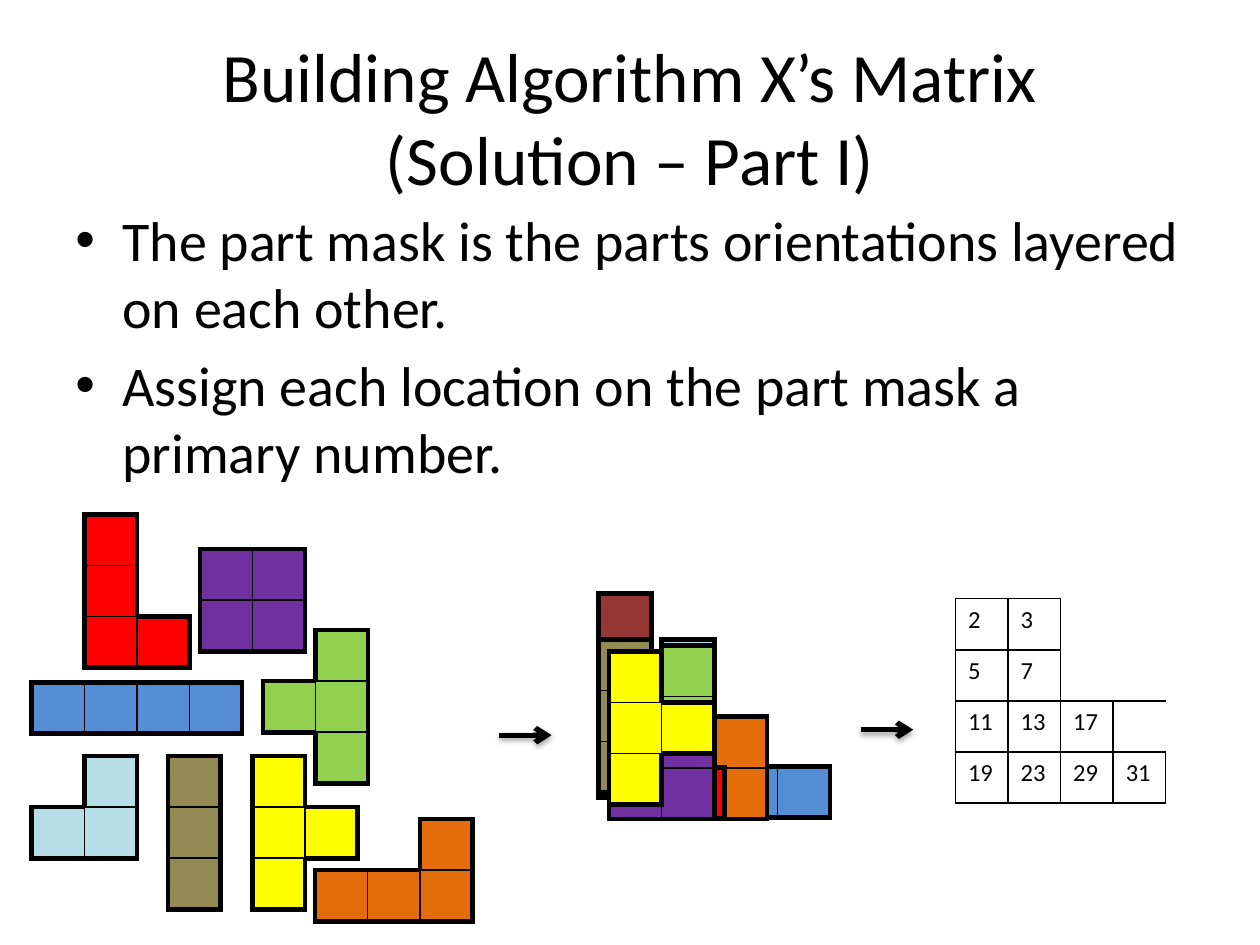
import dataclasses

import pptx
import pptx.dml.color
import pptx.enum.shapes
import pptx.enum.text
import pptx.oxml
import pptx.oxml.ns
import pptx.util
from lxml import etree
from pptx.util import Cm


@dataclasses.dataclass(frozen=True)
class Theme:
    font: str = "Calibri"
    ink: str = "000000"
    paper: str = "FFFFFF"
    title_size: float = 39.6
    body_size: float = 32
    number_size: float = 14
    thick: float = 3
    thin: float = 1


THEME = Theme()
CELL_WIDTH, CELL_HEIGHT = 1.06, 1.03

# "#" is a filled square, "o" a white square, "." an open square
PIECES = {
    "red": ("FF0000", ["#.", "#.", "##"]),
    "blue": ("558ED5", ["####"]),
    "green": ("92D050", [".#", "##", ".#"]),
    "olive": ("948A54", ["#", "#", "#"]),
    "cyan": ("B7DEE8", ["o#", "##"]),
    "purple": ("7030A0", ["##", "##"]),
    "orange": ("E46C0A", ["oo#", "###"]),
    "yellow": ("FFFF00", ["#.", "##", "#."]),
    "brown": ("953735", ["#", "#", "#", "#"]),
}
SPREAD = [
    ("red", 1.06, 0), ("blue", 0, 3.39), ("green", 4.66, 2.33),
    ("olive", 2.75, 4.87), ("cyan", 0, 4.87), ("purple", 3.39, 0.7),
    ("orange", 5.71, 6.14), ("yellow", 4.45, 4.87),
]
LAYERS = [
    ("brown", 0, 0), ("cyan", 0.21, 0.93), ("blue", 0.42, 3.49),
    ("orange", 0.21, 2.49), ("red", 0.42, 1.45), ("green", 0.21, 1.05),
    ("olive", 0, 0.93), ("purple", 0.21, 2.49), ("yellow", 0.21, 1.17),
]
NUMBERS = [["2", "3"], ["5", "7"], ["11", "13", "17"], ["19", "23", "29", "31"]]
POINTS = [
    "The part mask is the parts orientations layered on each other.",
    "Assign each location on the part mask a primary number.",
]


def color(value):
    return pptx.dml.color.RGBColor.from_string(value)


def write(para, text, size, align=None, before=0):
    para.alignment = align
    para.space_before = pptx.util.Pt(before)
    for index, line in enumerate(text.split("\n")):
        if index:
            para.add_line_break()
        span = para.add_run()
        span.text = line
        span.font.name = THEME.font
        span.font.size = pptx.util.Pt(size)
        span.font.color.rgb = color(THEME.ink)


def set_border(cell, side, weight):
    properties = cell._tc.get_or_add_tcPr()
    line = etree.SubElement(properties, pptx.oxml.ns.qn(f"a:ln{side}"))
    line.set("w", str(pptx.util.Pt(weight)))
    if weight:
        paint = etree.SubElement(line, pptx.oxml.ns.qn("a:solidFill"))
        etree.SubElement(paint, pptx.oxml.ns.qn("a:srgbClr")).set("val", THEME.ink)
    else:
        etree.SubElement(line, pptx.oxml.ns.qn("a:noFill"))


def draw_grid(page, left, top, pattern, fill, outer):
    rows, columns = len(pattern), len(pattern[0])
    table = page.shapes.add_table(
        rows, columns, Cm(left), Cm(top),
        Cm(columns * CELL_WIDTH), Cm(rows * CELL_HEIGHT)).table
    table.first_row = table.horz_banding = False
    for column in table.columns:
        column.width = Cm(CELL_WIDTH)
    for row in table.rows:
        row.height = Cm(CELL_HEIGHT)

    def filled(row, column):
        return 0 <= row < rows and 0 <= column < columns and pattern[row][column] == "#"

    for row in range(rows):
        for column in range(columns):
            cell = table.cell(row, column)
            neighbours = {"L": (row, column - 1), "R": (row, column + 1),
                          "T": (row - 1, column), "B": (row + 1, column)}
            for side, place in neighbours.items():
                count = filled(row, column) + filled(*place)
                set_border(cell, side, (0, outer, THEME.thin)[count])
            if pattern[row][column] == ".":
                cell.fill.background()
            else:
                cell.fill.solid()
                cell.fill.fore_color.rgb = color(fill if filled(row, column) else THEME.paper)
    return table


def draw_title(page, left, top, width, height):
    title = page.shapes.title
    title.left, title.top, title.width, title.height = map(Cm, (left, top, width, height))
    frame = title.text_frame
    frame.auto_size = pptx.enum.text.MSO_AUTO_SIZE.NONE
    frame.vertical_anchor = pptx.enum.text.MSO_ANCHOR.MIDDLE
    write(frame.paragraphs[0], "Building Algorithm X’s Matrix\n(Solution – Part I)",
          THEME.title_size, align=pptx.enum.text.PP_ALIGN.CENTER)


def draw_points(page, left, top, width, height):
    box = page.shapes.add_textbox(*map(Cm, (left, top, width, height)))
    frame = box.text_frame
    frame.word_wrap = True
    for index, text in enumerate(POINTS):
        para = frame.add_paragraph() if index else frame.paragraphs[0]
        properties = para._p.get_or_add_pPr()
        properties.set("marL", str(Cm(0.95)))
        properties.set("indent", str(Cm(-0.95)))
        bullet_font = etree.SubElement(properties, pptx.oxml.ns.qn("a:buFont"))
        bullet_font.set("typeface", "Arial")
        etree.SubElement(properties, pptx.oxml.ns.qn("a:buChar")).set("char", "•")
        write(para, text, THEME.body_size, before=0.2 * THEME.body_size if index else 0)


def draw_pieces(page, left, top, placements):
    for name, across, down in placements:
        fill, pattern = PIECES[name]
        draw_grid(page, left + across, top + down, pattern, fill, THEME.thick)


def draw_numbers(page, left, top):
    columns = max(map(len, NUMBERS))
    pattern = [("#" * len(row)).ljust(columns, "o") for row in NUMBERS]
    table = draw_grid(page, left, top, pattern, THEME.paper, THEME.thin)
    table.cell(0, 2).merge(table.cell(1, 3))
    for row, values in enumerate(NUMBERS):
        for column, value in enumerate(values):
            para = table.cell(row, column).text_frame.paragraphs[0]
            write(para, value, THEME.number_size)


def draw_arrow(page, left, top, width):
    arrow = page.shapes.add_connector(
        pptx.enum.shapes.MSO_CONNECTOR.STRAIGHT,
        Cm(left), Cm(top), Cm(left + width), Cm(top))
    arrow.line.width = pptx.util.Pt(THEME.thick)
    arrow.line.color.rgb = color(THEME.ink)
    line = arrow.line._get_or_add_ln()
    etree.SubElement(line, pptx.oxml.ns.qn("a:tailEnd")).set("type", "arrow")
    arrow._element.spPr.append(pptx.oxml.parse_xml(
        f'<a:effectLst {pptx.oxml.ns.nsdecls("a")}>'
        f'<a:outerShdw blurRad="{pptx.util.Pt(3.1)}" dist="{pptx.util.Pt(1.8)}" '
        f'dir="5400000" rotWithShape="0"><a:srgbClr val="{THEME.ink}">'
        '<a:alpha val="35000"/></a:srgbClr></a:outerShdw></a:effectLst>'))


def main():
    deck = pptx.Presentation()
    deck.slide_width, deck.slide_height = Cm(25.4), Cm(19.05)
    page = deck.slides.add_slide(deck.slide_layouts.get_by_name("Title Only"))
    draw_title(page, 1.27, 0.76, 22.86, 3.18)
    draw_points(page, 1.27, 4.01, 22.86, 12.57)
    draw_pieces(page, 0.64, 10.37, SPREAD)
    draw_arrow(page, 10.06, 14.82, 1.06)
    draw_pieces(page, 12.07, 11.96, LAYERS)
    draw_arrow(page, 17.35, 14.71, 1.06)
    draw_numbers(page, 19.26, 12.07)
    deck.save("out.pptx")


if __name__ == "__main__":
    main()
